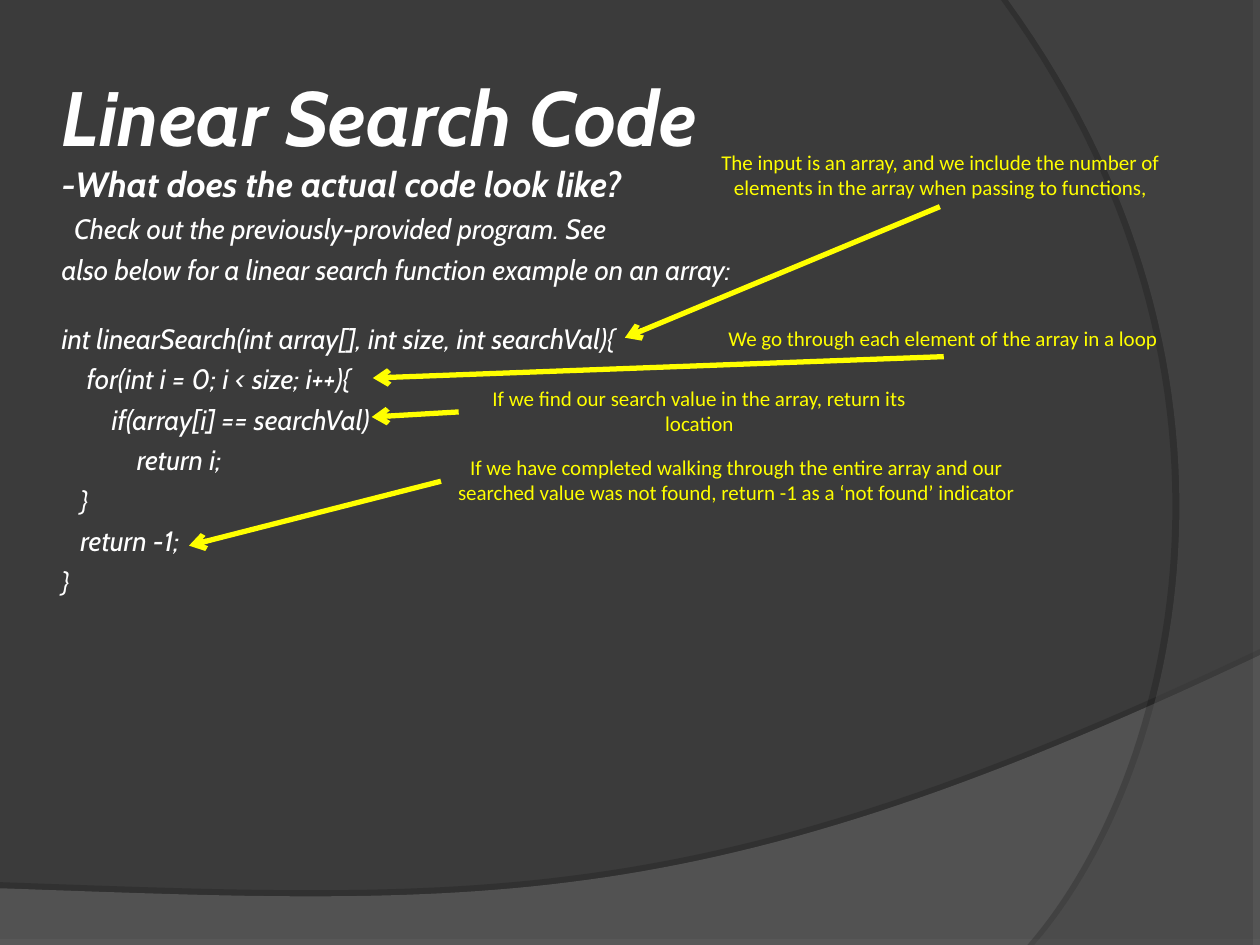
import lxml.etree
import pptx
import pptx.dml.color
import pptx.enum.shapes
import pptx.enum.text
import pptx.oxml.ns
import pptx.util

Pt = pptx.util.Pt
qn = pptx.oxml.ns.qn
PP_ALIGN = pptx.enum.text.PP_ALIGN

COLORS = {
    "background": "3B3B3B",
    "floor": "7C7C7C",
    "side": "595959",
    "shadow": "000000",
    "code": "FFFFFF",
    "note": "FFFF00",
}
SPACE_WIDTH = 3.58  # one space of 16 pt Cabin

# (leading spaces, text, space before)
CODE_LINES = [
    (2, "Check out the previously-provided program. See", 4),
    (0, "also below for a linear search function example on an array:", 4),
    (0, "int linearSearch(int array[], int size, int searchVal){", 20),
    (4, "for(int i = 0; i < size; i++){", 4),
    (8, "if(array[i] == searchVal)", 4),
    (12, "return i;", 4),
    (3, "}", 4),
    (3, "return -1;", 4),
    (0, "}", 4),
]

# (text, box, arrow start, arrow end)
NOTES = [
    ("The input is an array, and we include the number of elements in the "
     "array when passing to functions,",
     (396.7, 82.1, 281.5, 36), (537.1, 118.1), (357.1, 193)),
    ("We go through each element of the array in a loop",
     (370.8, 182.2, 336.2, 21.6), (539.3, 203.8), (213.1, 216)),
    ("If we find our search value in the array, return its location",
     (262.1, 216.7, 275, 36), (262.1, 235.4), (212.4, 238.3)),
    ("If we have completed walking through the entire array and our searched "
     "value was not found, return -1 as a ‘not found’ indicator",
     (252, 256.3, 337.7, 36), (252, 275), (108, 311.8)),
]


def rgb(name):
    return pptx.dml.color.RGBColor.from_string(COLORS[name])


def add_xml(parent, tag, **attributes):
    return lxml.etree.SubElement(parent, qn(tag), attributes)


def place(shape, left, top, width, height):
    shape.left, shape.top = Pt(left), Pt(top)
    shape.width, shape.height = Pt(width), Pt(height)
    frame = shape.text_frame
    frame.word_wrap = True
    frame.auto_size = pptx.enum.text.MSO_AUTO_SIZE.NONE
    frame.vertical_anchor = pptx.enum.text.MSO_ANCHOR.TOP
    return frame


def write(paragraph, text, size=16, font="Cabin", color="code", bold=False,
          italic=True, align=PP_ALIGN.LEFT, before=0, indent=0):
    paragraph.alignment = align
    paragraph.space_before = Pt(before)
    properties = paragraph._p.get_or_add_pPr()
    properties.set("marL", str(Pt(indent)))
    properties.set("indent", "0")
    add_xml(properties, "a:buNone")
    run = paragraph.add_run()
    run.text = text
    run.font.name = font
    run.font.size = Pt(size)
    run.font.bold = bold
    run.font.italic = italic
    run.font.color.rgb = rgb(color)


def bezier(start, control_1, control_2, end, steps=60):
    points = []
    for step in range(steps + 1):
        t = step / steps
        weights = ((1 - t) ** 3, 3 * t * (1 - t) ** 2, 3 * t * t * (1 - t), t ** 3)
        points.append(tuple(
            sum(weight * value for weight, value in zip(weights, values))
            for values in zip(start, control_1, control_2, end)))
    return points


def add_wave(slide, outline, color, opacity, shadow_opacity, distance, angle):
    """Draw a translucent backdrop with a hard shadow along its curved edge."""
    points = [(Pt(x), Pt(y)) for x, y in outline]
    builder = slide.shapes.build_freeform(*points[0])
    builder.add_line_segments(points[1:], close=True)
    wave = builder.convert_to_shape()
    wave.fill.solid()
    wave.fill.fore_color.rgb = rgb(color)
    wave.line.fill.background()
    wave.shadow.inherit = False
    properties = wave._element.spPr
    fill_color = properties.find(qn("a:solidFill")).find(qn("a:srgbClr"))
    add_xml(fill_color, "a:alpha", val=str(opacity * 1000))
    shadow = add_xml(properties.find(qn("a:effectLst")), "a:outerShdw",
                     blurRad="0", dist=str(Pt(distance)),
                     dir=str(angle * 60000), algn="ctr", rotWithShape="0")
    shadow_color = add_xml(shadow, "a:srgbClr", val=COLORS["shadow"])
    add_xml(shadow_color, "a:alpha", val=str(shadow_opacity * 1000))
    return wave


def add_backdrop(slide):
    slide.background.fill.solid()
    slide.background.fill.fore_color.rgb = rgb("background")
    floor = [(0, 540), (720, 540)] + bezier(
        (720, 374.4), (402.5, 524.9), (281.5, 517.7), (0, 507.6))
    side = [(720, 0), (720, 540)] + bezier(
        (591.1, 540), (673.2, 445.7), (733, 216), (576, 0))
    waves = [add_wave(slide, floor, "floor", 45, 35, 3.5, 270),
             add_wave(slide, side, "side", 40, 45, 4, 180)]
    for position, wave in enumerate(waves, start=2):
        slide.shapes._spTree.insert(position, wave._element)


def add_arrow(slide, start, end):
    arrow = slide.shapes.add_connector(
        pptx.enum.shapes.MSO_CONNECTOR.STRAIGHT,
        *(Pt(value) for value in start + end))
    arrow.line.color.rgb = rgb("note")
    arrow.line.width = Pt(3)
    add_xml(arrow.line._get_or_add_ln(), "a:tailEnd", type="arrow")
    add_xml(arrow._element.spPr, "a:effectLst")


def add_note(slide, text, box, start, end):
    add_arrow(slide, start, end)
    note = slide.shapes.add_textbox(0, 0, 0, 0)
    write(place(note, *box).paragraphs[0], text, size=12, font="Calibri",
          color="note", italic=False, align=PP_ALIGN.CENTER)


def add_code(slide):
    title = place(slide.shapes.title, 28, 36, 604.8, 60)
    write(title.paragraphs[0], "Linear Search Code", size=44, bold=True)
    body = place(slide.placeholders[1], 28, 89.5, 604.8, 414.5)
    write(body.paragraphs[0], "-What does the actual code look like?",
          size=20, bold=True)
    for spaces, text, before in CODE_LINES:
        write(body.add_paragraph(), text, before=before,
              indent=spaces * SPACE_WIDTH)


def main():
    presentation = pptx.Presentation()
    presentation.slide_width, presentation.slide_height = Pt(720), Pt(540)
    slide = presentation.slides.add_slide(presentation.slide_layouts[1])
    add_backdrop(slide)
    add_code(slide)
    for note in NOTES:
        add_note(slide, *note)
    presentation.save("out.pptx")


if __name__ == "__main__":
    main()
